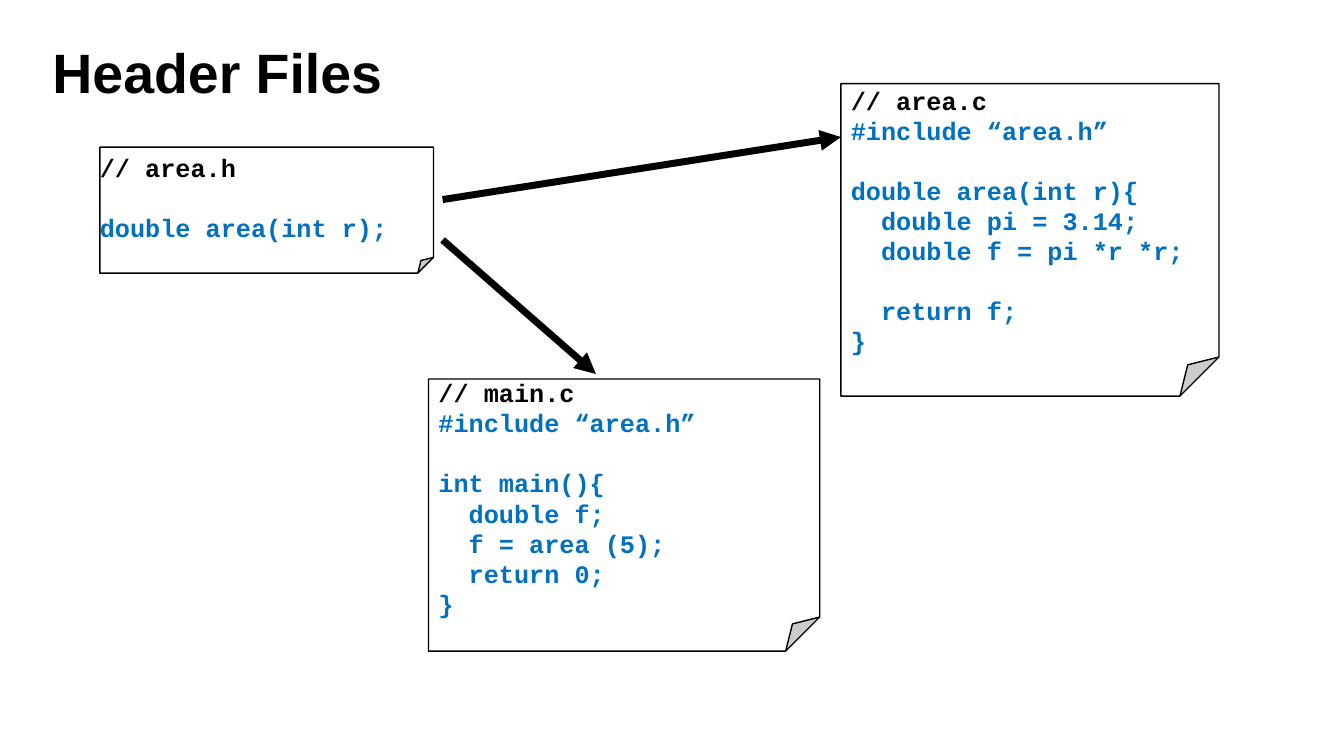
from lxml import etree
from pptx import Presentation
from pptx.dml.color import RGBColor
from pptx.enum.shapes import MSO_CONNECTOR, MSO_SHAPE
from pptx.enum.text import MSO_ANCHOR, PP_ALIGN
from pptx.oxml.ns import qn
from pptx.util import Inches, Pt

FOLD = MSO_SHAPE.FOLDED_CORNER
LINE = MSO_CONNECTOR.STRAIGHT
LEFT = PP_ALIGN.LEFT
TOP = MSO_ANCHOR.TOP
MIDDLE = MSO_ANCHOR.MIDDLE

COLORS = {"ink": "000000", "code": "0070C0", "paper": "FFFFFF"}
PITCH = Pt(21.5)
INDENT = Inches(0.3)
TITLE = {"name": "Arial", "size": Pt(39.6), "bold": True}
CODE = {"name": "Courier New", "size": Pt(18), "bold": True}


def color(name):
    return RGBColor.from_string(COLORS[name])


def style(item, values):
    for name, value in values.items():
        setattr(item, name, value)


def place(shape, box):
    sides = ("left", "top", "width", "height")
    style(shape, dict(zip(sides, map(Inches, box))))


def add_title(slide, box, text):
    title = slide.shapes.title
    place(title, box)
    title.text_frame.text = text
    title.text_frame.vertical_anchor = MIDDLE
    para = title.text_frame.paragraphs[0]
    style(para, {"alignment": LEFT, "line_spacing": 0.9})
    font = para.runs[0].font
    style(font, TITLE)
    font.color.rgb = color("ink")


def add_code(frame, blocks):
    para = frame.paragraphs[0]
    for part, block in enumerate(blocks):
        for row, (level, text) in enumerate(block):
            first = part == 0 and row == 0
            if not first:
                para = frame.add_paragraph()
            gap = PITCH if part and row == 0 else Pt(0)
            style(para, {"alignment": LEFT, "line_spacing": PITCH, "space_before": gap})
            para._p.get_or_add_pPr().set("marL", str(level * INDENT))
            run = para.add_run()
            run.text = text
            style(run.font, CODE)
            run.font.color.rgb = color("ink" if first else "code")


def set_fold(note, ratio):
    guides = note._element.spPr.find(qn("a:prstGeom")).get_or_add_avLst()
    guide = etree.SubElement(guides, qn("a:gd"))
    guide.set("name", "adj")
    guide.set("fmla", f"val {int(ratio * 100000)}")


def add_note(slide, box, blocks, anchor=MIDDLE, inset=0.1):
    note = slide.shapes.add_shape(FOLD, *map(Inches, box))
    set_fold(note, 0.125)
    note.shadow.inherit = False
    note.fill.solid()
    note.fill.fore_color.rgb = color("paper")
    note.line.color.rgb = color("ink")
    note.line.width = Pt(1)
    frame = note.text_frame
    style(frame, {"word_wrap": True, "vertical_anchor": anchor, "margin_left": Inches(inset)})
    add_code(frame, blocks)


def add_arrow(slide, start, end):
    arrow = slide.shapes.add_connector(LINE, *map(Inches, start + end))
    arrow.line.color.rgb = color("ink")
    arrow.line.width = Pt(5)
    props = arrow._element.spPr
    tail = etree.SubElement(props.find(qn("a:ln")), qn("a:tailEnd"))
    tail.set("type", "triangle")
    etree.SubElement(props, qn("a:effectLst"))


HEADER = [[(0, "// area.h")], [(0, "double area(int r);")]]
AREA = [
    [(0, "// area.c"), (0, "#include “area.h”")],
    [(0, "double area(int r){"), (1, "double pi = 3.14;"), (1, "double f = pi *r *r;")],
    [(1, "return f;"), (0, "}")],
]
MAIN = [
    [(0, "// main.c"), (0, "#include “area.h”")],
    [(0, "int main(){"), (1, "double f;"), (1, "f = area (5);"), (1, "return 0;"), (0, "}")],
]


def build():
    deck = Presentation()
    style(deck, {"slide_width": Inches(13.33), "slide_height": Inches(7.5)})
    slide = deck.slides.add_slide(deck.slide_layouts[5])
    add_title(slide, (0.42, 0.39, 9.49, 0.72), "Header Files")
    add_note(slide, (0.99, 1.46, 3.31, 1.25), HEADER, TOP, 0)
    add_note(slide, (8.34, 0.83, 3.75, 3.1), AREA)
    add_note(slide, (4.25, 3.76, 3.88, 2.7), MAIN)
    add_arrow(slide, (4.39, 1.98), (8.34, 1.36))
    add_arrow(slide, (4.39, 2.38), (5.91, 3.71))
    deck.save("out.pptx")


build()
